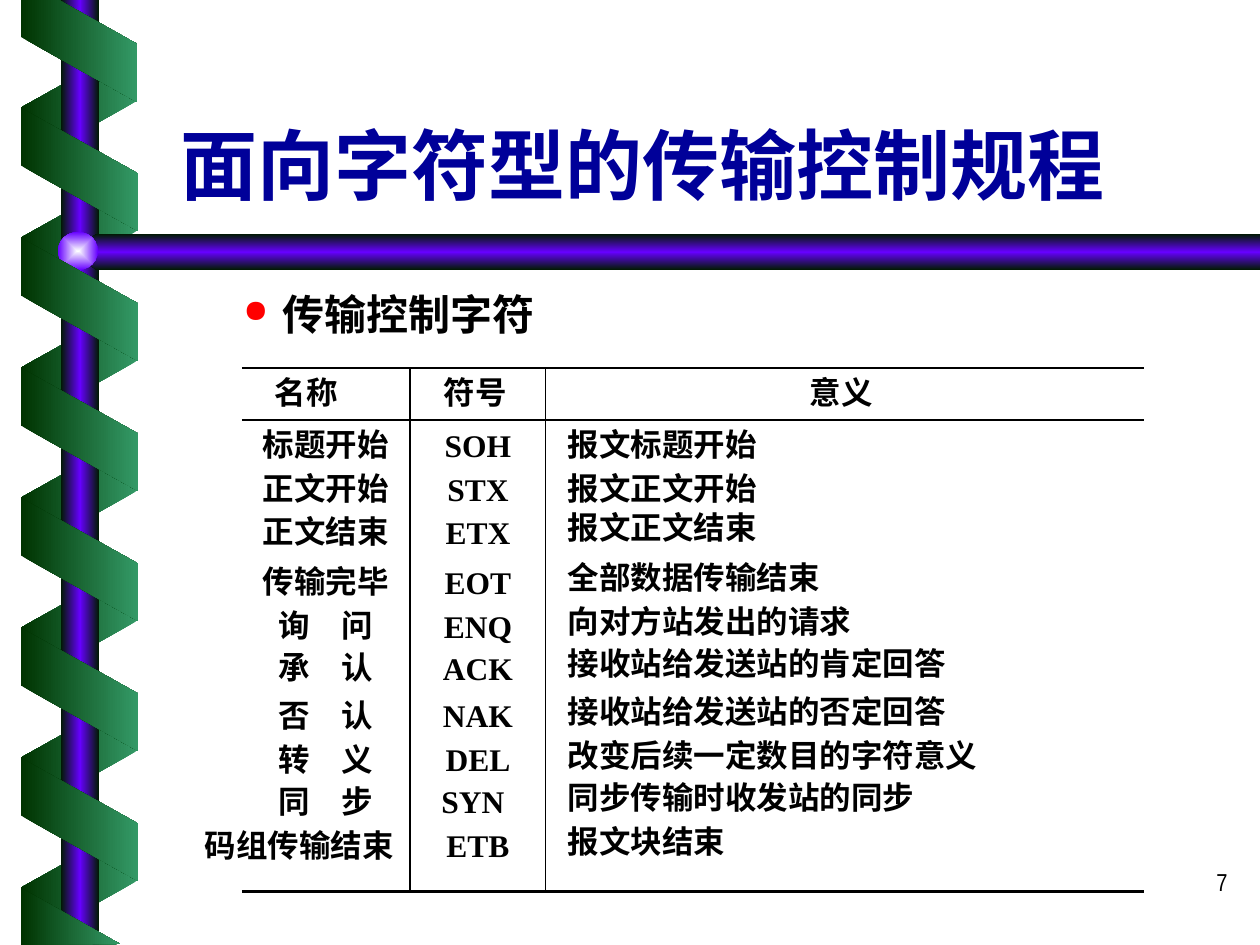
from dataclasses import dataclass

from lxml.etree import SubElement
from pptx import Presentation
from pptx.dml.color import RGBColor
from pptx.enum.shapes import MSO_SHAPE
from pptx.enum.text import MSO_ANCHOR, MSO_AUTO_SIZE, PP_ALIGN
from pptx.oxml.ns import qn
from pptx.util import Emu, Pt

SCALE = 914400 / 126


@dataclass(frozen=True)
class Theme:
    ink: str = "000000"
    title: str = "000099"
    bullet: str = "FF0000"
    leaf: str = "339966"
    forest: str = "003300"
    night: str = "001A00"
    violet: str = "6600FF"
    glow: str = "FEFFFF"
    heading_font: str = "Noto Sans CJK SC"
    table_font: str = "Times New Roman"
    number_font: str = "Arial Narrow"
    title_size: int = 44
    body_size: int = 24
    table_size: int = 18
    number_size: int = 14


THEME = Theme()
NO_STYLE = "{2D5ABB26-0587-4C30-8999-92F81FD0307C}"
HEADINGS = ("名称", "符号", "意义")
CONTROL_CHARACTERS = [
    ("标题开始", "SOH", "报文标题开始"),
    ("正文开始", "STX", "报文正文开始"),
    ("正文结束", "ETX", "报文正文结束"),
    ("传输完毕", "EOT", "全部数据传输结束"),
    ("询　问", "ENQ", "向对方站发出的请求"),
    ("承　认", "ACK", "接收站给发送站的肯定回答"),
    ("否　认", "NAK", "接收站给发送站的否定回答"),
    ("转　义", "DEL", "改变后续一定数目的字符意义"),
    ("同　步", "SYN", "同步传输时收发站的同步"),
    ("码组传输结束", "ETB", "报文块结束"),
]


def px(length):
    return Emu(round(length * SCALE))


def frame(box):
    return [px(length) for length in box]


def add_span(para, text, size, font, color=THEME.ink, bold=True):
    span = para.add_run()
    span.text = text
    span.font.size = Pt(size)
    span.font.name = font
    span.font.bold = bold
    span.font.color.rgb = RGBColor.from_string(color)
    east_asian = SubElement(span.font._element, qn("a:ea"))
    east_asian.set("typeface", THEME.heading_font)


def paint(shape, colors, angle=None):
    shape.shadow.inherit = False
    shape.line.fill.background()
    shape.fill.gradient()
    gradient = shape._element.spPr.find(qn("a:gradFill"))
    gradient.clear()
    gradient.set("rotWithShape", "0")
    stops = SubElement(gradient, qn("a:gsLst"))
    for index, color in enumerate(colors):
        position = index * 100000 // (len(colors) - 1)
        stop = SubElement(stops, qn("a:gs"), pos=str(position))
        SubElement(stop, qn("a:srgbClr"), val=color)
    if angle is None:
        center = SubElement(gradient, qn("a:path"), path="rect")
        SubElement(center, qn("a:fillToRect"), dict.fromkeys("ltrb", "50000"))
    else:
        SubElement(gradient, qn("a:lin"), ang=str(angle * 60000), scaled="0")


def add_outline(page, points, colors, angle):
    builder = page.shapes.build_freeform(*points[0], scale=SCALE)
    builder.add_line_segments(points[1:], close=True)
    paint(builder.convert_to_shape(), colors, angle)


def add_coils(page, box, count, rotation, flipped, colors):
    left, top, width, height, pitch = box
    for index in range(count):
        coil = page.shapes.add_shape(
            MSO_SHAPE.PARALLELOGRAM,
            *frame((left, top + index * pitch, width, height)))
        coil.adjustments[0] = 0.56
        coil.rotation = rotation
        if flipped:
            coil._element.spPr.xfrm.set("flipH", "1")
        paint(coil, colors, 0)


def add_ribbon(page, left, pitch):
    light_first = (THEME.leaf, THEME.forest)
    dark_first = (THEME.forest, THEME.leaf)
    beam = (THEME.night, THEME.violet, THEME.night)
    add_coils(page, (left, 46, 123, 116, pitch), 7, 90, True, light_first)
    pole = page.shapes.add_shape(
        MSO_SHAPE.RECTANGLE, *frame((left + 43, 0, 38, 945)))
    paint(pole, beam, 0)
    add_outline(page, [(1260, 234), (96, 234), (76, 252), (96, 270),
                       (1260, 270)], beam, 90)
    knob = page.shapes.add_shape(
        MSO_SHAPE.OVAL, *frame((left + 40, 232, 40, 38)))
    paint(knob, (THEME.glow, THEME.violet))
    add_coils(page, (left, 111, 123, 117, pitch), 6, 270, False, dark_first)
    add_outline(page, [(21, 0), (21, 37), (137, 102), (137, 44), (59, 0)],
                dark_first, 0)
    add_outline(page, [(120, 944), (21, 888), (21, 945)], dark_first, 0)


def add_title(page, box, text):
    title = page.shapes.title
    title.left, title.top, title.width, title.height = frame(box)
    title.text_frame.auto_size = MSO_AUTO_SIZE.NONE
    title.text_frame.vertical_anchor = MSO_ANCHOR.BOTTOM
    para = title.text_frame.paragraphs[0]
    para.alignment = PP_ALIGN.LEFT
    add_span(para, text, THEME.title_size, THEME.heading_font, THEME.title)


def add_text_box(page, box):
    text_box = page.shapes.add_textbox(*frame(box))
    text_box.text_frame.word_wrap = True
    return text_box.text_frame.paragraphs[0]


def add_bullet(page, box, text):
    para = add_text_box(page, box)
    properties = para._p.get_or_add_pPr()
    properties.set("marL", str(px(102)))
    properties.set("indent", str(px(-39)))
    color = SubElement(properties, qn("a:buClr"))
    SubElement(color, qn("a:srgbClr"), val=THEME.bullet)
    SubElement(properties, qn("a:buSzPct"), val="75000")
    SubElement(properties, qn("a:buChar"), char="●")
    add_span(para, text, THEME.body_size, THEME.heading_font)


def add_page_number(page, box, text):
    para = add_text_box(page, box)
    para.alignment = PP_ALIGN.RIGHT
    add_span(para, text, THEME.number_size, THEME.number_font, bold=False)


def rule_cell(cell, edges):
    properties = cell._tc.get_or_add_tcPr()
    for edge in ("lnL", "lnR", "lnT", "lnB"):
        if edge in edges:
            line = SubElement(properties, qn("a:" + edge),
                              w=str(Pt(edges[edge])))
            fill = SubElement(line, qn("a:solidFill"))
            SubElement(fill, qn("a:srgbClr"), val=THEME.ink)
    cell.fill.background()


def fill_cell(cell, text, align, left=0, right=0, lift=0):
    cell.margin_left, cell.margin_right = px(left), px(right)
    cell.margin_bottom = px(lift)
    para = cell.text_frame.paragraphs[0]
    para.alignment = align
    para.line_spacing = Pt(20)
    add_span(para, text, THEME.table_size, THEME.table_font)


def add_character_table(page, box):
    widths = (53, 168, 136, 598)
    heights = (52, 46, 44, 43, 50, 44, 42, 48, 44, 42, 44, 25)
    last = len(heights) - 1
    table = page.shapes.add_table(
        len(heights), len(widths), *frame(box)).table
    table._tbl.tblPr.find(qn("a:tableStyleId")).text = NO_STYLE
    table.first_row = table.horz_banding = False
    for column, width in zip(table.columns, widths):
        column.width = px(width)
    for row_index, height in enumerate(heights):
        row = table.rows[row_index]
        row.height = px(height)
        for column_index, cell in enumerate(row.cells):
            cell.margin_left = cell.margin_right = 0
            cell.margin_top = cell.margin_bottom = 0
            cell.vertical_anchor = MSO_ANCHOR.BOTTOM
            edges = {}
            if column_index in (1, 2):
                edges["lnR"] = 0.75
            if column_index and row_index == 0:
                edges["lnT"] = 1
            if column_index and row_index in (0, last):
                edges["lnB"] = 1.5
            rule_cell(cell, edges)
            if column_index == 0 or row_index == last:
                blank = cell.text_frame.paragraphs[0]._p
                SubElement(blank, qn("a:endParaRPr"), sz="600")
    for column_index, (text, left) in enumerate(
            zip(HEADINGS, (33, 34, 264)), 1):
        fill_cell(table.cell(0, column_index), text, PP_ALIGN.LEFT, left, 0, 6)
    for row_index, (name, symbol, meaning) in enumerate(CONTROL_CHARACTERS, 1):
        name_cell = table.cell(row_index, 1)
        if row_index == len(CONTROL_CHARACTERS):
            name_cell = table.cell(row_index, 0)
            name_cell.merge(table.cell(row_index, 1))
            rule_cell(name_cell, {"lnR": 0.75})
        fill_cell(name_cell, name, PP_ALIGN.CENTER)
        fill_cell(table.cell(row_index, 2), symbol, PP_ALIGN.CENTER,
                  right=10 if symbol == "SYN" else 0, lift=2)
        fill_cell(table.cell(row_index, 3), meaning, PP_ALIGN.LEFT,
                  left=22, lift=4 if row_index > 2 else 0)


def main():
    deck = Presentation()
    deck.slide_width, deck.slide_height = px(1260), px(945)
    page = deck.slides.add_slide(deck.slide_layouts[5])
    add_ribbon(page, 18, 130)
    add_page_number(page, (978, 861, 262, 63), "7")
    add_title(page, (168, 58, 1071, 158), "面向字符型的传输控制规程")
    add_bullet(page, (168, 282, 1071, 64), "传输控制字符")
    add_character_table(page, (189, 368, 955, 524))
    deck.save("out.pptx")


if __name__ == "__main__":
    main()
